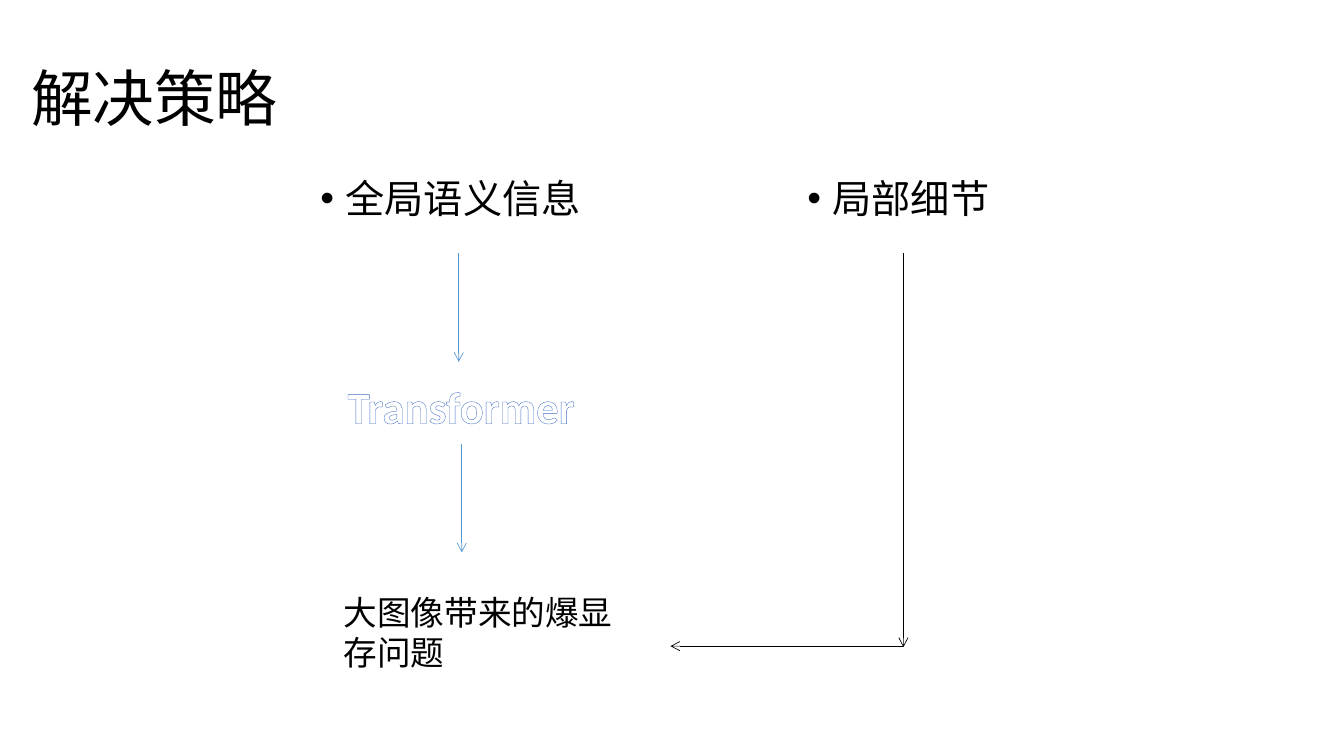
import pptx
import pptx.util
import pptx.dml.color
import pptx.enum.dml
import pptx.enum.shapes
import pptx.enum.text
import lxml.etree
from pptx.util import Inches

BLACK = pptx.dml.color.RGBColor(0x00, 0x00, 0x00)
WHITE = pptx.dml.color.RGBColor(0xFF, 0xFF, 0xFF)
ARROW_BLUE = pptx.dml.color.RGBColor(0x5B, 0x9B, 0xD5)
HATCH_BLUE = pptx.dml.color.RGBColor(0x8F, 0xAA, 0xDC)
OUTLINE_BLUE = pptx.dml.color.RGBColor(0x44, 0x72, 0xC4)


def add_text(s, text, left, top, width, height, size):
    sp = s.shapes.add_textbox(Inches(left), Inches(top), Inches(width), Inches(height))
    tf = sp.text_frame
    tf.word_wrap = True
    p = tf.paragraphs[0]
    r = p.add_run()
    r.text = text
    r.font.size = pptx.util.Pt(size)
    r.font.name = "Calibri"
    r.font.color.rgb = BLACK
    return tf, p, r


def add_child(parent, tag, **attrs):
    return lxml.etree.SubElement(parent, pptx.oxml.ns.qn(tag), attrs)


prs = pptx.Presentation()
prs.slide_width = Inches(13.33)
prs.slide_height = Inches(7.5)
s = prs.slides.add_slide(prs.slide_layouts[6])

tf, p, r = add_text(s, "解决策略", 0.21, 0.28, 11.5, 1.45, 44)
tf.vertical_anchor = pptx.enum.text.MSO_ANCHOR.MIDDLE
p.line_spacing = 0.9

for text, left, height in [("全局语义信息", 3.08, 4.76), ("局部细节", 7.91, 0.78)]:
    tf, p, r = add_text(s, text, left, 1.73, 2.95, height, 28)
    p.line_spacing = 0.9
    p.space_before = pptx.util.Pt(10)
    pPr = p._p.get_or_add_pPr()
    pPr.set("marL", str(Inches(0.25)))
    pPr.set("indent", str(Inches(-0.25)))
    add_child(pPr, "a:buFont", typeface="Arial")
    add_child(pPr, "a:buChar", char="•")

tf, p, r = add_text(s, "Transformer", 3.16, 3.71, 2.83, 0.64, 32)
tf.word_wrap = False
tf.auto_size = pptx.enum.text.MSO_AUTO_SIZE.SHAPE_TO_FIT_TEXT
p.alignment = pptx.enum.text.PP_ALIGN.CENTER
r.font.bold = True
r.font.fill.patterned()
r.font.fill.pattern = pptx.enum.dml.MSO_PATTERN.LIGHT_DOWNWARD_DIAGONAL
r.font.fill.fore_color.rgb = HATCH_BLUE
r.font.fill.back_color.rgb = WHITE
rPr = r._r.get_or_add_rPr()
ln = add_child(rPr, "a:ln", w=str(pptx.util.Pt(1)))
add_child(add_child(ln, "a:solidFill"), "a:srgbClr", val=str(OUTLINE_BLUE))
rPr.insert(0, ln)

tf, p, r = add_text(s, "大图像带来的爆显存问题", 3.31, 5.82, 3.06, 0.91, 24)
tf.auto_size = pptx.enum.text.MSO_AUTO_SIZE.SHAPE_TO_FIT_TEXT

arrows = [
    (4.55, 2.51, 4.55, 3.59, ARROW_BLUE),
    (4.58, 4.4, 4.58, 5.48, ARROW_BLUE),
    (8.96, 2.51, 8.96, 6.42, BLACK),
    (8.96, 6.41, 6.65, 6.41, BLACK),
]
for x1, y1, x2, y2, color in arrows:
    sp = s.shapes.add_connector(
        pptx.enum.shapes.MSO_CONNECTOR.STRAIGHT,
        Inches(x1), Inches(y1), Inches(x2), Inches(y2))
    sp.line.color.rgb = color
    sp.line.width = pptx.util.Pt(0.5)
    add_child(sp.line._get_or_add_ln(), "a:tailEnd", type="arrow")
    add_child(sp._element.spPr, "a:effectLst")

prs.save("out.pptx")
